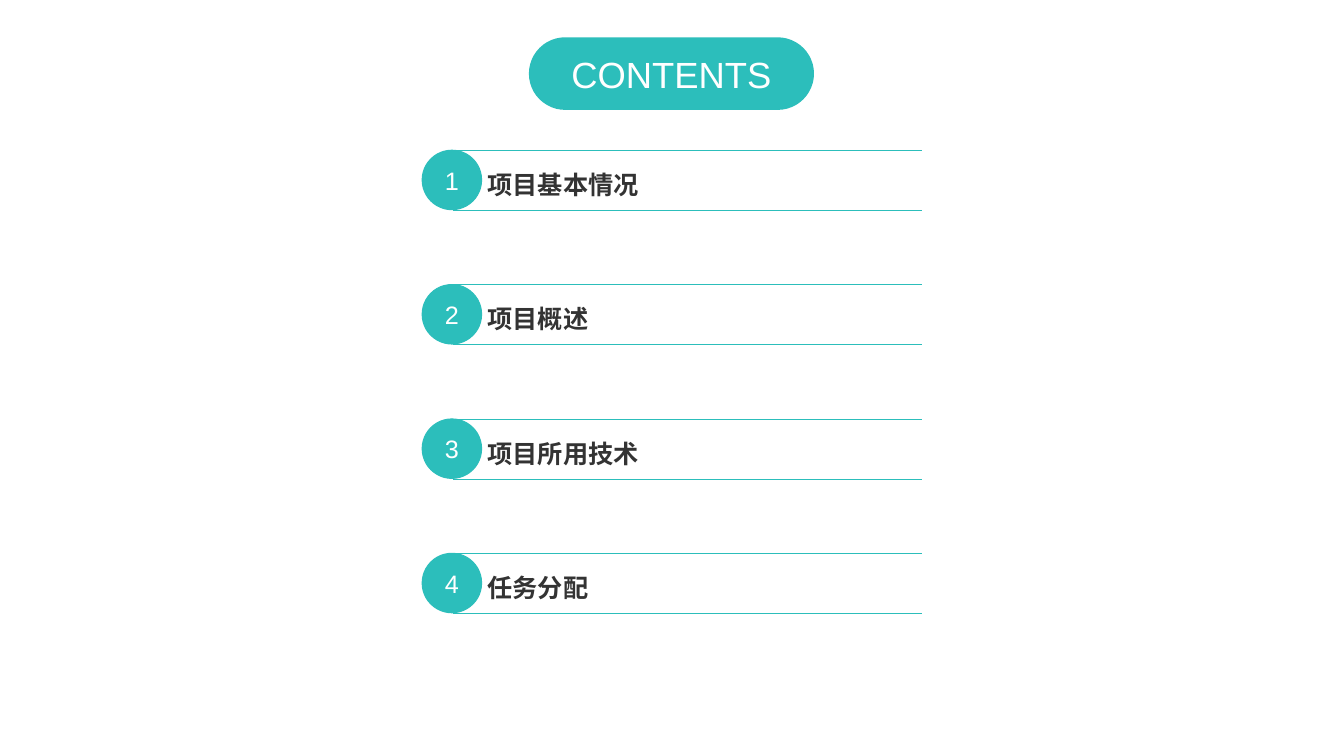
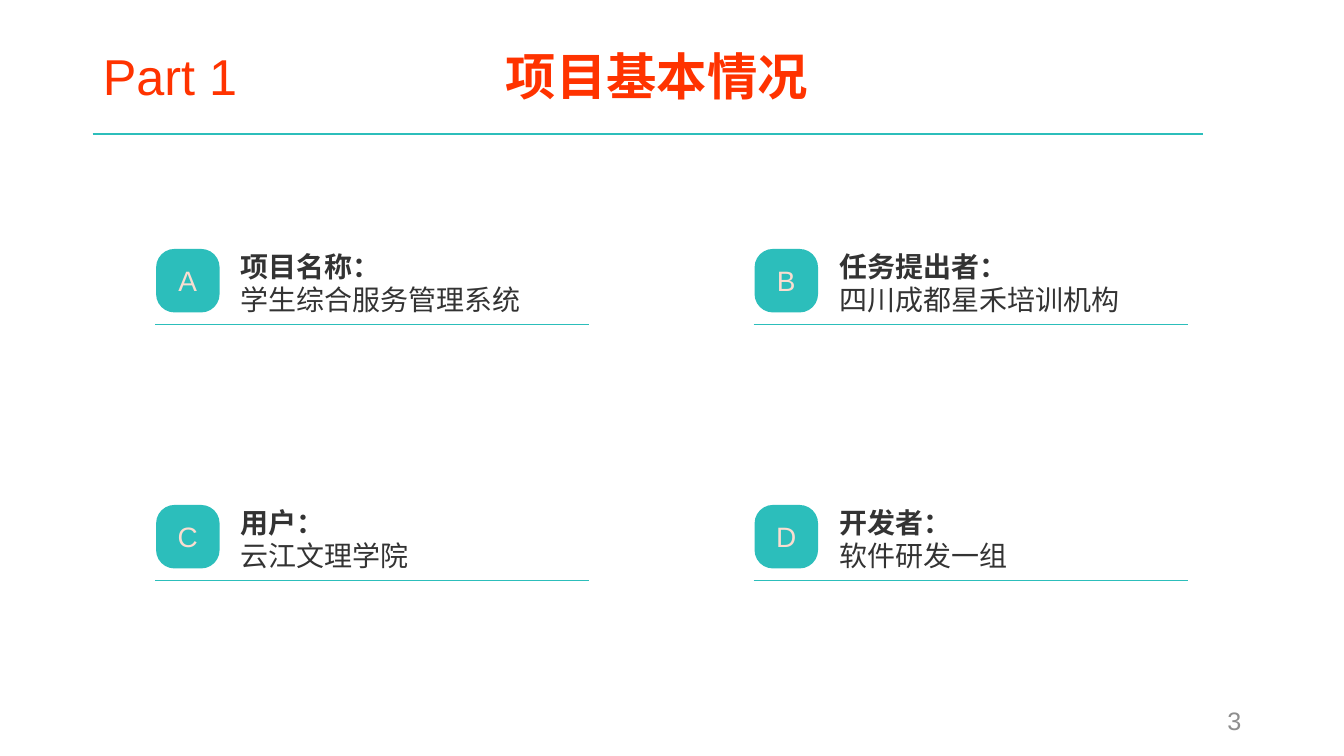
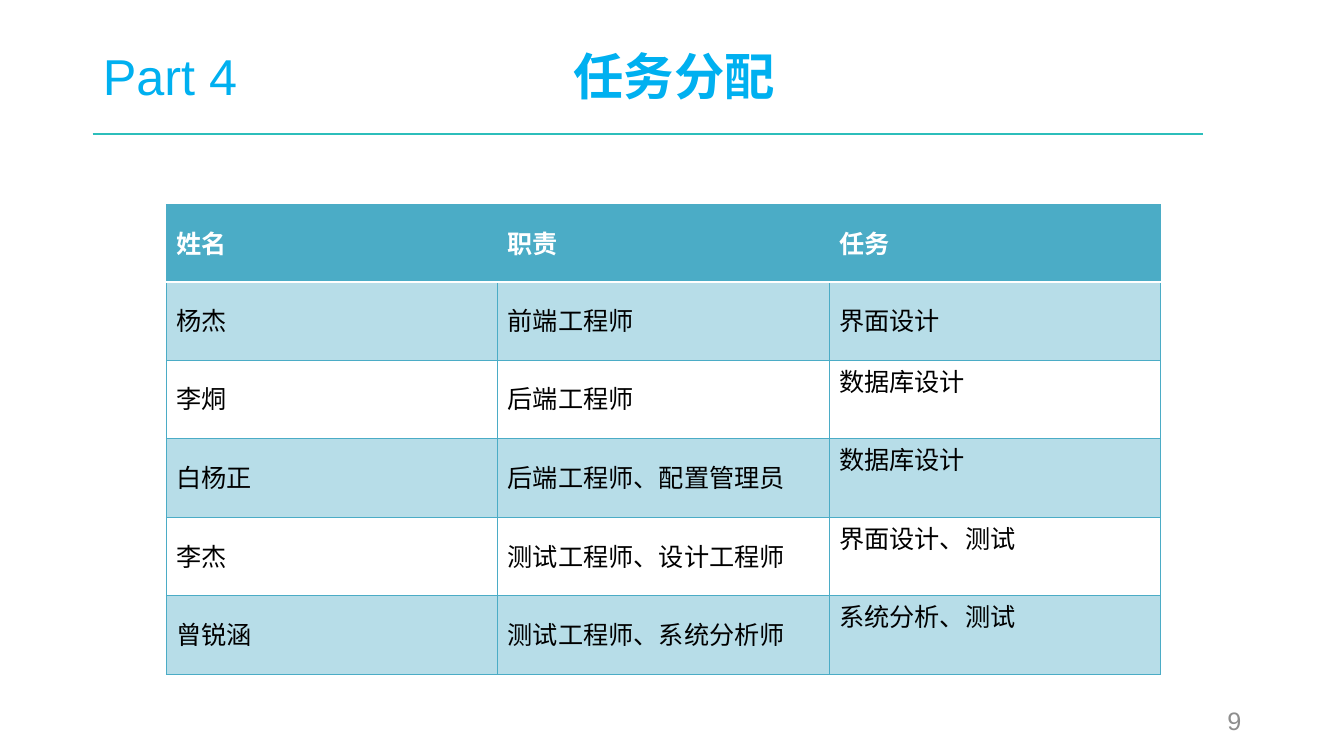
from lxml import etree
from pptx import Presentation
from pptx.dml.color import RGBColor
from pptx.enum.shapes import MSO_CONNECTOR, MSO_SHAPE
from pptx.enum.text import MSO_ANCHOR, MSO_AUTO_SIZE, PP_ALIGN
from pptx.oxml.ns import qn
from pptx.util import Inches, Pt

STRAIGHT = MSO_CONNECTOR.STRAIGHT
OVAL, ROUNDED = MSO_SHAPE.OVAL, MSO_SHAPE.ROUNDED_RECTANGLE
TOP, MIDDLE = MSO_ANCHOR.TOP, MSO_ANCHOR.MIDDLE
LEFT, CENTER, RIGHT = PP_ALIGN.LEFT, PP_ALIGN.CENTER, PP_ALIGN.RIGHT
NO_AUTOFIT = MSO_AUTO_SIZE.NONE
TITLE_ONLY, BLANK = 5, 6

# Shared style
TEAL, INK, WHITE, BLACK = "2CBEBB", "333333", "FFFFFF", "000000"
CREAM, GREY, RED, SKY = "FBDDD0", "8E8E8E", "FF3300", "00B0F0"
TABLE_BLUE = "4BACC6"
LATIN, CHINESE, TABLE_FONT = "Arial", "Noto Sans CJK SC", "Calibri"

# Grid of square cells covering the slide
COLUMNS, ROWS = 133.4, 75
WIDTH, HEIGHT = Inches(13.34), Inches(7.5)

# Slide content
CONTENTS = ["项目基本情况", "项目概述", "项目所用技术", "任务分配"]
FACTS = [
    ("A", "项目名称：", "学生综合服务管理系统"),
    ("B", "任务提出者：", "四川成都星禾培训机构"),
    ("C", "用户：", "云江文理学院"),
    ("D", "开发者：", "软件研发一组"),
]
TASKS = [
    ("姓名", "职责", "任务"),
    ("杨杰", "前端工程师", "界面设计"),
    ("李烔", "后端工程师", "数据库设计"),
    ("白杨正", "后端工程师、配置管理员", "数据库设计"),
    ("李杰", "测试工程师、设计工程师", "界面设计、测试"),
    ("曾锐涵", "测试工程师、系统分析师", "系统分析、测试"),
]


def color(value):
    return RGBColor.from_string(value)


def across(columns):
    return round(WIDTH * columns / COLUMNS)


def down(rows):
    return round(HEIGHT * rows / ROWS)


def grid_box(left, top, width, height):
    return across(left), down(top), across(width), down(height)


def format_run(run, size, ink, bold=False, font=LATIN):
    run.font.name, run.font.size, run.font.bold = font, Pt(size), bold
    run.font.color.rgb = color(ink)
    properties = run._r.get_or_add_rPr()
    etree.SubElement(properties, qn("a:ea")).set("typeface", CHINESE)


def set_tab_stop(paragraph, position):
    tabs = etree.SubElement(paragraph._p.get_or_add_pPr(), qn("a:tabLst"))
    etree.SubElement(tabs, qn("a:tab"), pos=str(position), algn="l")


def set_border(cell, side, order, ink, points):
    border = etree.Element(qn(f"a:ln{side}"), w=str(Pt(points)))
    fill = etree.SubElement(border, qn("a:solidFill"))
    etree.SubElement(fill, qn("a:srgbClr"), val=ink)
    cell._tc.get_or_add_tcPr().insert(order, border)


def set_opacity(cell, percent):
    tint = cell._tc.get_or_add_tcPr().find(f".//{qn('a:srgbClr')}")
    etree.SubElement(tint, qn("a:alpha"), val=str(percent * 1000))


class Deck:
    def __init__(self):
        self.presentation = Presentation()
        self.presentation.slide_width = WIDTH
        self.presentation.slide_height = HEIGHT
        self.slide = None

    def new_slide(self, layout):
        layouts = self.presentation.slide_layouts
        self.slide = self.presentation.slides.add_slide(layouts[layout])

    def titled_slide(self, part, title, title_offset, ink, number):
        """Start a slide with the shared title, rule and page number."""
        self.new_slide(TITLE_ONLY)
        shape = self.slide.shapes.title
        shape.left, shape.top, shape.width, shape.height = grid_box(9.2, 3.2, 115, 9.4)
        frame = shape.text_frame
        frame.vertical_anchor, frame.auto_size = MIDDLE, NO_AUTOFIT
        paragraph = frame.paragraphs[0]
        paragraph.text = f"{part}\t"
        paragraph.alignment, paragraph.line_spacing = LEFT, 0.9
        set_tab_stop(paragraph, across(title_offset))
        format_run(paragraph.runs[0], 36, ink)
        heading = paragraph.add_run()
        heading.text = title
        format_run(heading, 36, ink, bold=True)
        self.rule(9.2, 119.4, 13.3, 1.5)
        self.text([number], 94.2, 69.5, 30, 4, 18, GREY, align=RIGHT)

    def rule(self, start, end, row, points=0.5):
        line = self.slide.shapes.add_connector(
            STRAIGHT, across(start), down(row), across(end), down(row))
        line.line.color.rgb = color(TEAL)
        line.line.width = Pt(points)
        etree.SubElement(line._element.spPr, qn("a:effectLst"))

    def text(self, lines, left, top, width, height, size, ink, bold_first=False,
             font=LATIN, align=LEFT, anchor=MIDDLE, spacing=1.0):
        box = self.slide.shapes.add_textbox(*grid_box(left, top, width, height))
        frame = box.text_frame
        frame.word_wrap, frame.vertical_anchor = True, anchor
        frame.text = "\n".join(lines)
        for index, paragraph in enumerate(frame.paragraphs):
            paragraph.alignment, paragraph.line_spacing = align, spacing
            format_run(paragraph.runs[0], size, ink, bold_first and index == 0, font)

    def badge(self, kind, label, left, top, width, height, size, ink=WHITE,
              corner=None):
        shape = self.slide.shapes.add_shape(kind, *grid_box(left, top, width, height))
        shape.shadow.inherit = False
        shape.fill.solid()
        shape.fill.fore_color.rgb = color(TEAL)
        shape.line.fill.background()
        if corner is not None:
            shape.adjustments[0] = corner
        frame = shape.text_frame
        frame.text, frame.vertical_anchor = label, MIDDLE
        frame.paragraphs[0].alignment = CENTER
        format_run(frame.paragraphs[0].runs[0], size, ink)
        return shape

    def table(self, rows, left, top, widths, heights):
        frame = self.slide.shapes.add_table(
            len(rows), len(widths), *grid_box(left, top, sum(widths), sum(heights)))
        table = frame.table
        for column, width in zip(table.columns, widths):
            column.width = across(width)
        for row, height in zip(table.rows, heights):
            row.height = down(height)
        for row_index, values in enumerate(rows):
            for column_index, value in enumerate(values):
                self.table_cell(table, row_index, column_index, value)

    def table_cell(self, table, row, column, value):
        cell = table.cell(row, column)
        header = row == 0
        cell.text = value
        # Tasks below the first person sit at the top of their cells
        cell.vertical_anchor = TOP if column == 2 and row > 1 else MIDDLE
        paragraph = cell.text_frame.paragraphs[0]
        paragraph.line_spacing, paragraph.space_before = 0.9, Pt(10)
        format_run(paragraph.runs[0], 18, WHITE if header else BLACK, header, TABLE_FONT)
        if header or row % 2:
            cell.fill.solid()
            cell.fill.fore_color.rgb = color(TABLE_BLUE)
            if not header:
                set_opacity(cell, 40)
        else:
            cell.fill.background()
        for order, side in enumerate("LRTB"):
            under_header = (row, side) in ((0, "B"), (1, "T"))
            ink, points = (WHITE, 1.47) if under_header else (TABLE_BLUE, 0.45)
            set_border(cell, side, order, ink, points)


def contents_slide(deck):
    deck.new_slide(BLANK)
    deck.badge(ROUNDED, "CONTENTS", 52.5, 3.7, 28.3, 7.2, 26, corner=0.5)
    for index, title in enumerate(CONTENTS):
        top = 14.9 + 13.33 * index
        circle = deck.badge(OVAL, str(index + 1), 41.9, top, 5.9, 5.9, 18)
        circle.line.color.rgb = color(TEAL)
        circle.line.width = Pt(0.75)
        for row in (top, top + 5.95):
            deck.rule(45, 91.5, row)
        deck.text([title], 47.4, top + 0.5, 44, 4.95, 18, INK,
                  bold_first=True, anchor=TOP, spacing=1.3)


def facts_slide(deck):
    deck.titled_slide("Part 1", "项目基本情况", 40, RED, "3")
    for index, (letter, heading, detail) in enumerate(FACTS):
        row, column = divmod(index, 2)
        left, top = 15.5 + 59.4 * column, 24.7 + 25.4 * row
        deck.text([heading, detail], left + 7.4, top - 0.1, 35.6, 6.9, 20, INK,
                  bold_first=True, font=CHINESE)
        deck.badge(ROUNDED, letter, left, top, 6.3, 6.3, 20, CREAM, corner=0.29)
        deck.rule(left - 0.1, left + 43, top + 7.5)


def tasks_slide(deck):
    deck.titled_slide("Part 4", "任务分配", 46.7, SKY, "9")
    deck.table(TASKS, 16.5, 20.3, [32.9] * 3, [7.7] * 2 + [7.8] * 4)


def main():
    deck = Deck()
    contents_slide(deck)
    facts_slide(deck)
    tasks_slide(deck)
    deck.presentation.save("out.pptx")


if __name__ == "__main__":
    main()
